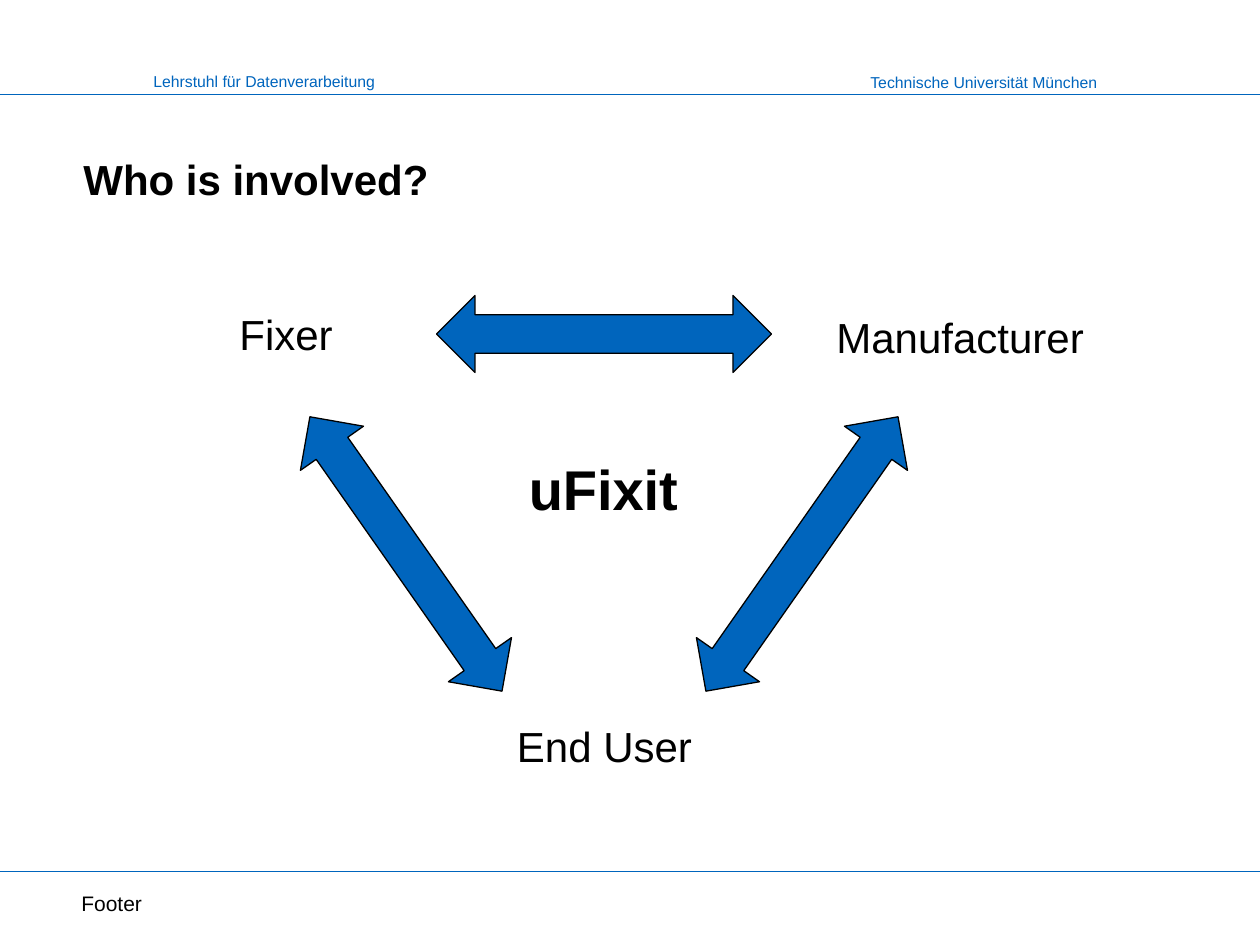
import dataclasses

import pptx
import pptx.dml.color
import pptx.enum.shapes
import pptx.enum.text
import pptx.oxml
import pptx.oxml.ns
import pptx.util

SCALE = 914400 // 126
ALIGN = pptx.enum.text.PP_ALIGN
ANCHOR = pptx.enum.text.MSO_ANCHOR


@dataclasses.dataclass(frozen=True)
class Theme:
    """Colours, font and type sizes of the slide."""
    blue: str = "0065BD"
    black: str = "000000"
    font: str = "Arial"
    head: int = 9
    foot: int = 12
    body: int = 24
    hub: int = 32
    line: float = 0.75


THEME = Theme()


def px(*sizes):
    """Turn pixels into EMU."""
    return [pptx.util.Emu(round(size * SCALE)) for size in sizes]


def color(code):
    """Make a colour from its hex code."""
    return pptx.dml.color.RGBColor.from_string(code)


def add_text(slide, text, box, size, code=THEME.black, bold=False,
             align=ALIGN.LEFT, anchor=ANCHOR.MIDDLE, wrap=False):
    """Add one line of text in a box."""
    frame = slide.shapes.add_textbox(*px(*box)).text_frame
    frame.word_wrap = wrap
    frame.vertical_anchor = anchor
    frame.text = text
    line = frame.paragraphs[0]
    line.alignment = align
    font = line.runs[0].font
    font.name, font.size, font.bold = THEME.font, pptx.util.Pt(size), bold
    font.color.rgb = color(code)


def add_rule(slide, top):
    """Add a thin line across the slide."""
    kind = pptx.enum.shapes.MSO_CONNECTOR.STRAIGHT
    rule = slide.shapes.add_connector(kind, *px(0, top, 1260, top))
    rule.line.color.rgb = color(THEME.blue)
    rule.line.width = pptx.util.Pt(THEME.line)
    props = rule._element.spPr
    props.append(pptx.oxml.parse_xml(
        "<a:effectLst %s/>" % pptx.oxml.ns.nsdecls("a")))


def add_arrow(slide, mid_x, mid_y, turn):
    """Add a double arrow around its centre, turned by degrees."""
    wide, high = 77, 335
    kind = pptx.enum.shapes.MSO_SHAPE.UP_DOWN_ARROW
    arrow = slide.shapes.add_shape(
        kind, *px(mid_x - wide / 2, mid_y - high / 2, wide, high))
    arrow.adjustments[0] = arrow.adjustments[1] = 0.5
    arrow.rotation = turn
    arrow.shadow.inherit = False
    arrow.fill.solid()
    arrow.fill.fore_color.rgb = color(THEME.blue)
    arrow.line.color.rgb = color(THEME.black)
    arrow.line.width = pptx.util.Pt(THEME.line)


def add_frame(slide):
    """Add the header, the footer and their rules."""
    for top in (94.5, 871.5):
        add_rule(slide, top)
    add_text(slide, "Lehrstuhl für Datenverarbeitung", (141, 65, 249, 32),
             THEME.head, THEME.blue)
    add_text(slide, "Technische Universität München", (858, 66, 258, 32),
             THEME.head, THEME.blue)
    add_text(slide, "Footer", (69, 882, 834, 42), THEME.foot, wrap=True)


def add_cycle(slide):
    """Add the three parties, the arrows between them and the hub."""
    add_text(slide, "Fixer", (227, 298, 134, 71), THEME.body)
    add_text(slide, "Manufacturer", (824, 301, 307, 71), THEME.body)
    add_text(slide, "End User", (503, 714, 203, 63), THEME.body,
             align=ALIGN.CENTER)
    mid, reach, tilt = 604, 198, 35
    add_arrow(slide, mid, 334, 90)
    for side in (-1, 1):
        add_arrow(slide, mid + side * reach, 554, side * tilt % 360)
    add_text(slide, "uFixit", (505, 443, 197, 91), THEME.hub, bold=True,
             align=ALIGN.CENTER)


def main():
    """Build the slide and save it."""
    deck = pptx.Presentation()
    deck.slide_width, deck.slide_height = px(1260, 945)
    slide = deck.slides.add_slide(deck.slide_layouts[6])
    add_frame(slide)
    add_text(slide, "Who is involved?", (71, 126, 1120, 84), THEME.body,
             bold=True, anchor=ANCHOR.BOTTOM, wrap=True)
    add_cycle(slide)
    deck.save("out.pptx")


main()
